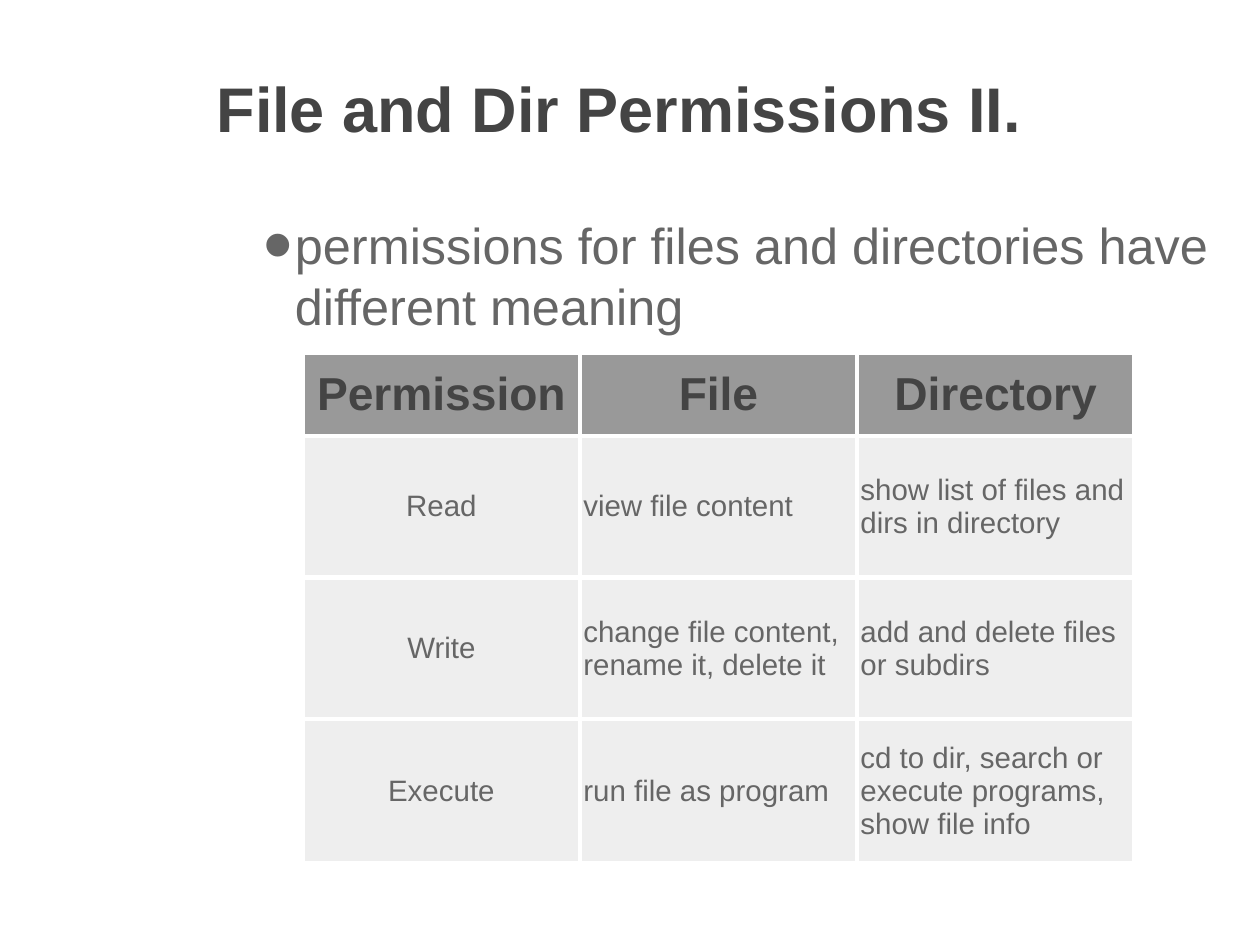
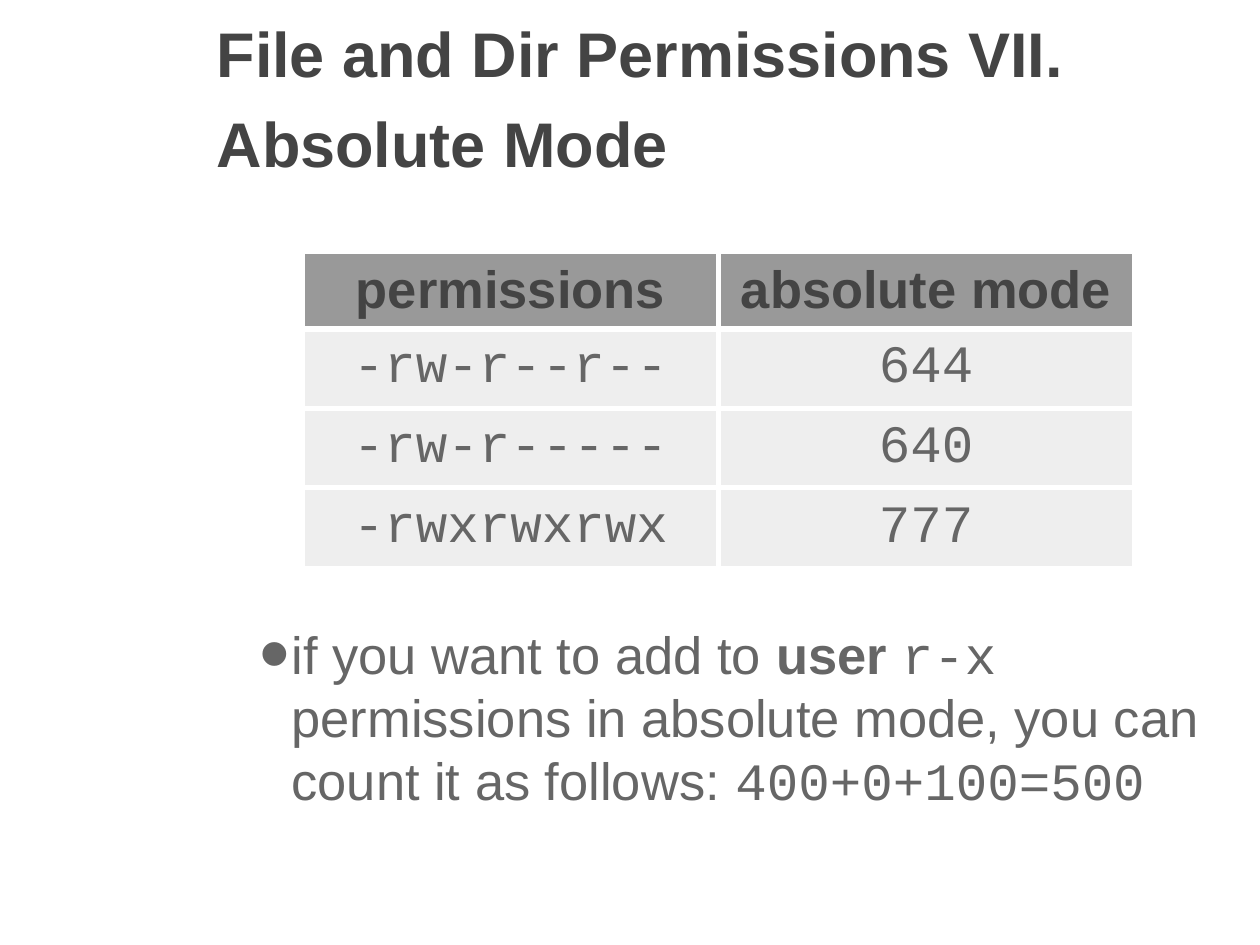
from dataclasses import dataclass

from lxml import etree
from pptx import Presentation
from pptx.dml.color import RGBColor
from pptx.enum import text
from pptx.oxml.ns import qn
from pptx.util import Inches, Pt


@dataclass(frozen=True)
class Theme:
    font: str = "Arial"
    code_font: str = "Courier New"
    heading: str = "444444"
    body: str = "666666"
    header_fill: str = "999999"
    cell_fill: str = "EEEEEE"
    border: str = "FFFFFF"
    title_size: float = 40


THEME = Theme()
BODY, STRONG, CODE = "body", "strong", "code"
LEFT, CENTER = text.PP_ALIGN.LEFT, text.PP_ALIGN.CENTER
TITLE_LEFT, TITLE_WIDTH = 1.87, 8.88
TABLE_LEFT, TABLE_WIDTH = 2.67, 7.33

SLIDES = [
    {
        "title": ["File and Dir Permissions II."],
        "title_top": 0.37, "title_height": 1.02,
        "bullet_box": (2.14, 1.85, 8.61, 6.02), "bullet_size": 32,
        "bullet": [("permissions for files and directories have different meaning", BODY)],
        "table_top": 3.11, "row_heights": [0.73, 1.25, 1.25, 1.27],
        "header_size": 29.3, "cell_size": 18.7, "border_width": 3,
        "cell_style": BODY, "alignments": [CENTER, LEFT, LEFT],
        "rows": [
            ["Permission", "File", "Directory"],
            ["Read", "view file content", "show list of files and dirs in directory"],
            ["Write", "change file content, rename it, delete it",
             "add and delete files or subdirs"],
            ["Execute", "run file as program",
             "cd to dir, search or execute programs, show file info"],
        ],
    },
    {
        "title": ["File and Dir Permissions VII.", "Absolute Mode"],
        "title_top": -0.02, "title_height": 1.62,
        "bullet_box": (2.11, 5.44, 8.58, 2.44), "bullet_size": 33.3,
        "bullet": [
            ("if you want to add to ", BODY),
            ("user ", STRONG),
            ("r-x", CODE),
            (" permissions in absolute mode, you can count it as follows: ", BODY),
            ("400+0+100=500", CODE),
        ],
        "table_top": 2.22, "row_heights": [0.68, 0.7, 0.7, 0.71],
        "header_size": 33.3, "cell_size": 33.3, "border_width": 3.75,
        "cell_style": CODE, "alignments": [CENTER, CENTER],
        "rows": [
            ["permissions", "absolute mode"],
            ["-rw-r--r--", "644"],
            ["-rw-r-----", "640"],
            ["-rwxrwxrwx", "777"],
        ],
    },
]


def add_run(paragraph, words, size, style=BODY, color=THEME.body):
    run = paragraph.add_run()
    run.text = words
    run.font.name = THEME.code_font if style == CODE else THEME.font
    run.font.size = Pt(size)
    run.font.bold = style == STRONG
    run.font.color.rgb = RGBColor.from_string(color)


def set_margins(frame, inches):
    """Give a text frame or a table cell the same margin on all sides."""
    frame.margin_left = frame.margin_right = Inches(inches)
    frame.margin_top = frame.margin_bottom = Inches(inches)


presentation = Presentation()
presentation.slide_width = Inches(11.11)
presentation.slide_height = Inches(8.33)
title_only = presentation.slide_layouts[5]

for content in SLIDES:
    slide = presentation.slides.add_slide(title_only)

    title = slide.shapes.title
    title.left, title.top = Inches(TITLE_LEFT), Inches(content["title_top"])
    title.width, title.height = Inches(TITLE_WIDTH), Inches(content["title_height"])
    frame = title.text_frame
    frame.auto_size = text.MSO_AUTO_SIZE.NONE
    frame.word_wrap = True
    frame.vertical_anchor = text.MSO_ANCHOR.MIDDLE
    set_margins(frame, 0.04)
    paragraph = frame.paragraphs[0]
    paragraph.alignment = LEFT
    paragraph.line_spacing = 1.2
    for number, line in enumerate(content["title"]):
        if number:
            paragraph.add_line_break()
        add_run(paragraph, line, THEME.title_size, STRONG, THEME.heading)

    bullet_box = slide.shapes.add_textbox(*map(Inches, content["bullet_box"]))
    frame = bullet_box.text_frame
    frame.word_wrap = True
    set_margins(frame, 0.04)
    paragraph = frame.paragraphs[0]
    properties = paragraph._p.get_or_add_pPr()
    properties.set("marL", str(Inches(0.42)))
    properties.set("indent", str(Inches(-0.28)))
    bullet_color = etree.SubElement(properties, qn("a:buClr"))
    etree.SubElement(bullet_color, qn("a:srgbClr"), val=THEME.body)
    etree.SubElement(properties, qn("a:buSzPct"), val="167000")
    etree.SubElement(properties, qn("a:buFont"), typeface=THEME.font)
    etree.SubElement(properties, qn("a:buChar"), char="•")
    for words, style in content["bullet"]:
        add_run(paragraph, words, content["bullet_size"], style)

    rows, row_heights = content["rows"], content["row_heights"]
    column_count = len(rows[0])
    table = slide.shapes.add_table(
        len(rows), column_count, Inches(TABLE_LEFT), Inches(content["table_top"]),
        Inches(TABLE_WIDTH), Inches(sum(row_heights))).table
    table.horz_banding = False
    for column in table.columns:
        column.width = Inches(TABLE_WIDTH / column_count)
    for row_index, row in enumerate(rows):
        table.rows[row_index].height = Inches(row_heights[row_index])
        is_header = row_index == 0
        for column_index, words in enumerate(row):
            cell = table.cell(row_index, column_index)
            cell.vertical_anchor = text.MSO_ANCHOR.MIDDLE
            set_margins(cell, 0.03)
            cell_properties = cell._tc.get_or_add_tcPr()
            for side in ("a:lnL", "a:lnR", "a:lnT", "a:lnB"):
                border = etree.SubElement(
                    cell_properties, qn(side), w=str(Pt(content["border_width"])))
                border_fill = etree.SubElement(border, qn("a:solidFill"))
                etree.SubElement(border_fill, qn("a:srgbClr"), val=THEME.border)
            cell.fill.solid()
            cell.fill.fore_color.rgb = RGBColor.from_string(
                THEME.header_fill if is_header else THEME.cell_fill)
            paragraph = cell.text_frame.paragraphs[0]
            if is_header:
                paragraph.alignment = CENTER
                add_run(paragraph, words, content["header_size"], STRONG, THEME.heading)
            else:
                paragraph.alignment = content["alignments"][column_index]
                add_run(paragraph, words, content["cell_size"], content["cell_style"])

presentation.save("out.pptx")
